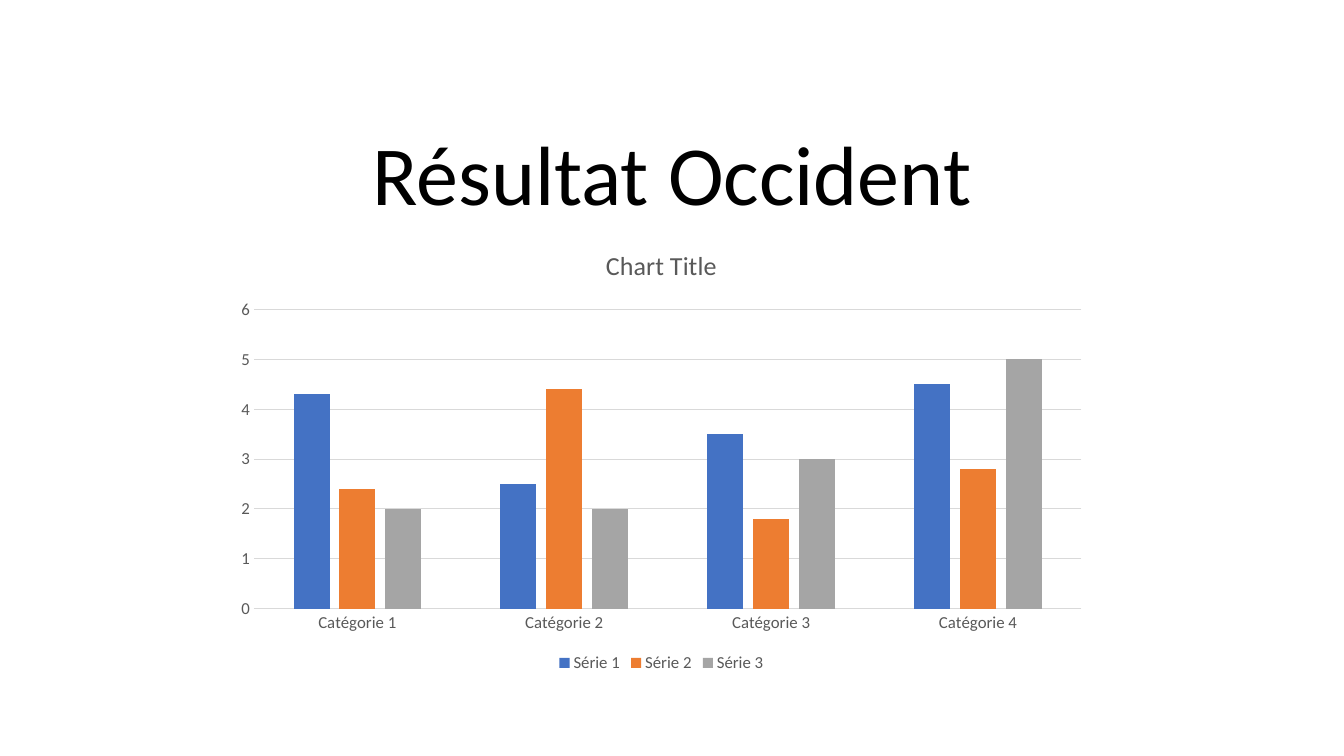
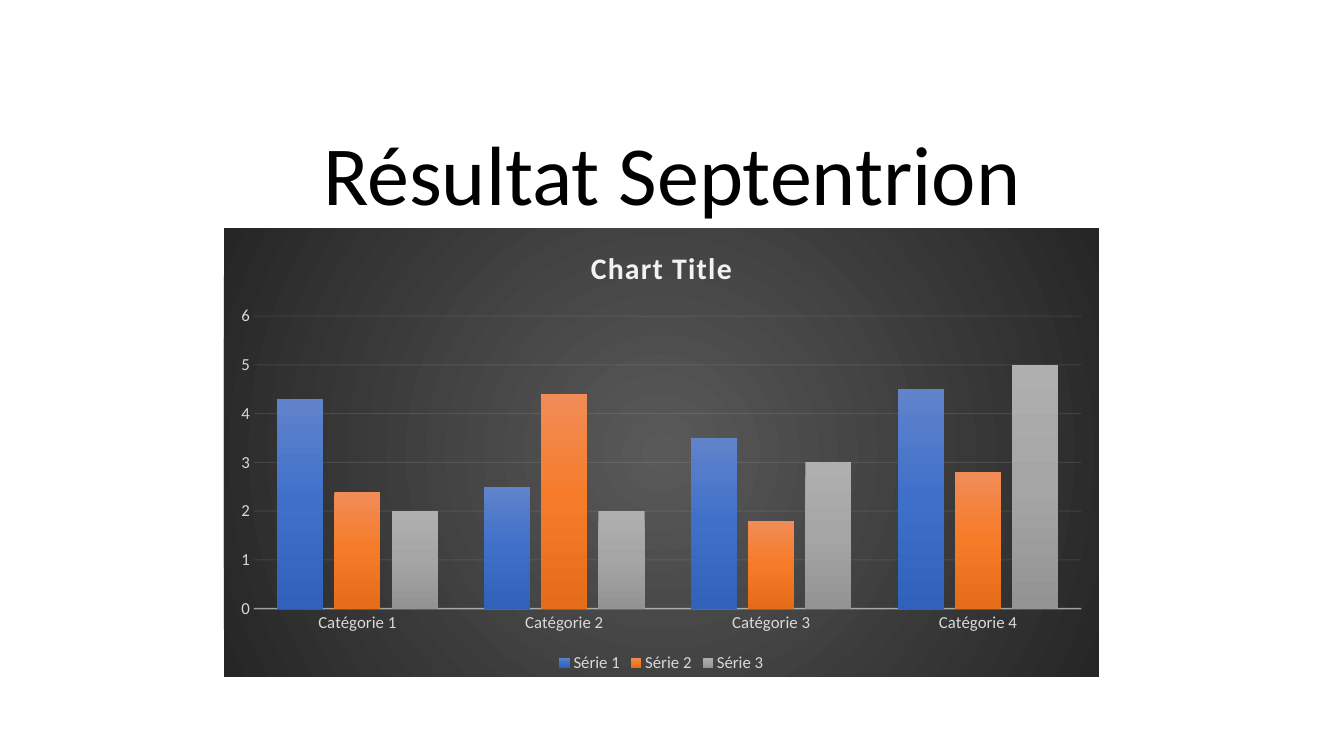
"""Build two result slides, each with a title and a column chart."""
from dataclasses import dataclass

from lxml import etree
from pptx import Presentation
from pptx.chart.axis import CategoryAxis, ValueAxis
from pptx.chart.chart import Chart
from pptx.chart.data import CategoryChartData
from pptx.dml.color import RGBColor
from pptx.dml.line import LineFormat
from pptx.enum.chart import XL_CHART_TYPE, XL_LEGEND_POSITION, XL_TICK_MARK
from pptx.enum.text import MSO_ANCHOR, PP_ALIGN
from pptx.oxml import parse_xml
from pptx.oxml.ns import qn
from pptx.slide import Slide
from pptx.text.text import Font
from pptx.util import Pt

COLUMN = XL_CHART_TYPE.COLUMN_CLUSTERED
BELOW = XL_LEGEND_POSITION.BOTTOM
NO_TICK = XL_TICK_MARK.NONE
LOW = MSO_ANCHOR.BOTTOM
CENTER = PP_ALIGN.CENTER

FACE = "Calibri"
SPACES = (
    'xmlns:a="http://schemas.openxmlformats.org/drawingml/2006/main" '
    'xmlns:c="http://schemas.openxmlformats.org/drawingml/2006/chart"'
)
HEX = {
    "black": "000000",
    "gray": "595959",
    "silver": "D9D9D9",
    "pale": "F2F2F2",
    "coal": "262626",
    "blue": "4472C4",
    "blue top": "6183CB",
    "blue mid": "3E70CA",
    "blue low": "3062BB",
    "orange": "ED7D31",
    "orange top": "F18C57",
    "orange mid": "F67B28",
    "orange low": "E56C19",
    "ash": "A5A5A5",
    "ash top": "AFAFAF",
    "ash low": "939393",
}
GROUPS = [f"Catégorie {n}" for n in range(1, 5)]
SERIES = {
    "Série 1": (4.3, 2.5, 3.5, 4.5),
    "Série 2": (2.4, 4.4, 1.8, 2.8),
    "Série 3": (2, 2, 3, 5),
}


@dataclass(frozen=True)
class Stroke:
    """Line colour, width in points and opacity in percent."""

    color: str
    width: float
    alpha: int = 100


@dataclass(frozen=True)
class Style:
    """Look of one chart; a fill is a tuple of evenly spaced stops."""

    text: str
    title: str
    size: float
    bold: bool
    track: int
    base: Stroke
    grid: Stroke
    gap: int
    overlap: int
    bars: tuple[tuple[str, ...], ...]
    back: tuple[str, ...] = ()


@dataclass(frozen=True)
class Page:
    """Title and chart style of one slide."""

    title: str
    style: Style


LIGHT = Style(
    "gray", "gray", 18.6, False, 0,
    Stroke("silver", 0.75), Stroke("silver", 0.75), 219, -27,
    (("blue",), ("orange",), ("ash",)),
)
DARK = Style(
    "silver", "pale", 21.3, True, 100,
    Stroke("pale", 1, 54), Stroke("pale", 0.75, 10), 100, -24,
    (
        ("blue top", "blue mid", "blue low"),
        ("orange top", "orange mid", "orange low"),
        ("ash top", "ash", "ash low"),
    ),
    ("gray", "coal"),
)
PAGES = (Page("Résultat Occident", LIGHT), Page("Résultat Septentrion", DARK))


def set_font(font: Font, size: float, color: str, bold: bool = False) -> None:
    """Set face, size, colour and weight."""
    font.name = FACE
    font.size = Pt(size)
    font.bold = bold
    font.color.rgb = RGBColor.from_string(HEX[color])


def set_line(line: LineFormat, stroke: Stroke) -> None:
    """Apply a stroke with its opacity."""
    line.width = Pt(stroke.width)
    line.color.rgb = RGBColor.from_string(HEX[stroke.color])
    if stroke.alpha < 100:
        for tint in line._get_or_add_ln().iter(qn("a:srgbClr")):
            etree.SubElement(tint, qn("a:alpha"), val=str(stroke.alpha * 1000))


def make_fill(names: tuple[str, ...], radial: bool = False) -> str:
    """Return fill XML for no, one or several colours."""
    if not names:
        return f"<a:noFill {SPACES}/>"
    tints = [f'<a:srgbClr val="{HEX[name]}"/>' for name in names]
    if len(tints) == 1:
        return f"<a:solidFill {SPACES}>{tints[0]}</a:solidFill>"
    step = 100000 // (len(tints) - 1)
    stops = "".join(
        f'<a:gs pos="{n * step}">{tint}</a:gs>' for n, tint in enumerate(tints)
    )
    shade = '<a:lin ang="5400000" scaled="0"/>'
    if radial:
        shade = (
            '<a:path path="circle"><a:fillToRect l="50000" t="50000" '
            'r="50000" b="50000"/></a:path>'
        )
    return f"<a:gradFill {SPACES}><a:gsLst>{stops}</a:gsLst>{shade}</a:gradFill>"


def make_panel(names: tuple[str, ...] = ()) -> etree._Element:
    """Return borderless area properties."""
    fill = make_fill(names, radial=True)
    return parse_xml(f"<c:spPr {SPACES}>{fill}<a:ln><a:noFill/></a:ln></c:spPr>")


def set_axis(axis: CategoryAxis | ValueAxis, style: Style) -> None:
    """Drop tick marks and style the labels."""
    axis.major_tick_mark = axis.minor_tick_mark = NO_TICK
    set_font(axis.tick_labels.font, 12, style.text)


def set_axes(chart: Chart, style: Style) -> None:
    """Style both axes and the grid."""
    base, scale = chart.category_axis, chart.value_axis
    set_axis(base, style)
    set_axis(scale, style)
    set_line(base.format.line, style.base)
    scale.format.line.fill.background()
    scale.minimum_scale, scale.maximum_scale, scale.major_unit = 0, 6, 1
    scale.has_major_gridlines = True
    set_line(scale.major_gridlines.format.line, style.grid)


def set_bars(chart: Chart, style: Style) -> None:
    """Space and colour the columns."""
    plot = chart.plots[0]
    plot.vary_by_categories = False
    plot.gap_width, plot.overlap = style.gap, style.overlap
    for bar, names in zip(plot.series, style.bars):
        bar.invert_if_negative = False
        bar._element.get_or_add_spPr().append(parse_xml(make_fill(names)))


def set_head(chart: Chart, style: Style) -> None:
    """Write the chart title."""
    chart.has_title = True
    head = chart.chart_title
    head.include_in_layout = False
    line = head.text_frame.paragraphs[0]
    line.text = "Chart Title"
    for run in line.runs:
        set_font(run.font, style.size, style.title, style.bold)
        run._r.get_or_add_rPr().set("spc", str(style.track))


def add_chart(slide: Slide, style: Style) -> None:
    """Add the column chart."""
    data = CategoryChartData()
    data.categories = GROUPS
    for name, values in SERIES.items():
        data.add_series(name, values)
    frame = slide.shapes.add_chart(
        COLUMN, Pt(160), Pt(163), Pt(625), Pt(320.5), data
    )
    chart = frame.chart
    set_font(chart.font, 10, "black")
    set_head(chart, style)
    set_axes(chart, style)
    set_bars(chart, style)
    chart.has_legend = True
    chart.legend.position = BELOW
    chart.legend.include_in_layout = False
    set_font(chart.legend.font, 12, style.text)
    body = chart._chartSpace.find(qn("c:chart"))
    body.addnext(make_panel(style.back))
    body.find(qn("c:plotArea")).append(make_panel())


def add_title(slide: Slide, text: str) -> None:
    """Add the slide title."""
    box = slide.shapes.add_textbox(Pt(120), Pt(88.5), Pt(720), Pt(75))
    frame = box.text_frame
    frame.word_wrap = True
    frame.vertical_anchor = LOW
    line = frame.paragraphs[0]
    line.text = text
    line.alignment = CENTER
    line.line_spacing = 0.9
    for run in line.runs:
        set_font(run.font, 60, "black")


def main() -> None:
    """Build and save the deck."""
    deck = Presentation()
    deck.slide_width, deck.slide_height = Pt(960), Pt(540)
    blank = deck.slide_layouts[6]
    for page in PAGES:
        slide = deck.slides.add_slide(blank)
        add_title(slide, page.title)
        add_chart(slide, page.style)
    deck.save("out.pptx")


if __name__ == "__main__":
    main()
